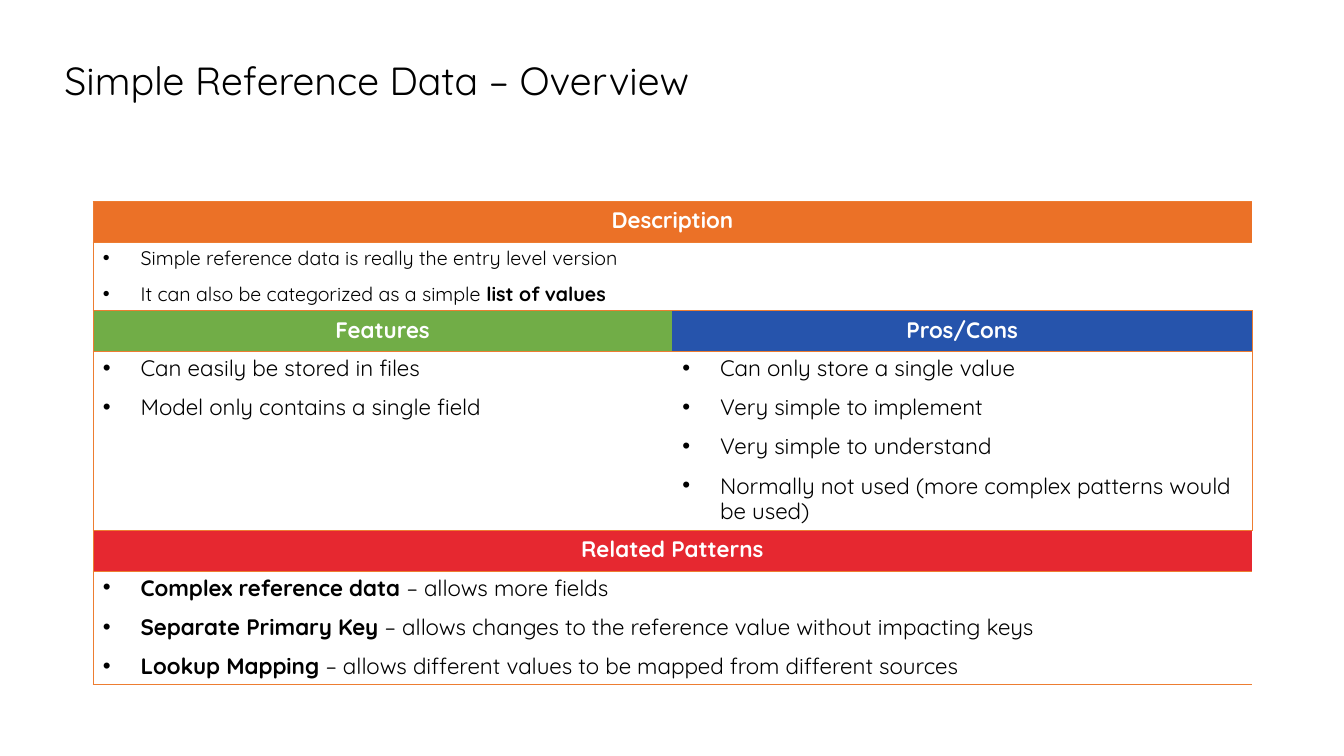
from dataclasses import dataclass

from lxml.etree import SubElement as Sub
from pptx import Presentation
from pptx.dml.color import RGBColor as Rgb
from pptx.enum.text import MSO_ANCHOR as Anchor, MSO_AUTO_SIZE as Fit, PP_ALIGN as Align
from pptx.oxml.ns import qn
from pptx.util import Cm, Pt

# Content: each row is (height in cm, cells); a single cell spans the table.
# A cell is (fill, size, paragraphs); a paragraph is a list of (text, bold).
TITLE = "Simple Reference Data – Overview"


@dataclass(frozen=True)
class Theme:
    font: str = "Quicksand"
    ink: str = "000000"
    white: str = "FFFFFF"
    line: str = "ED7D31"
    orange: str = "EB7127"
    green: str = "71AD47"
    blue: str = "2654AC"
    red: str = "E62830"
    title: int = 28
    text: int = 16
    small: int = 14
    rule: float = 0.5


look = Theme()


def head(text, fill):
    return fill, look.text, [[(text, True)]]


def body(*paras, size=look.text):
    return None, size, paras


ROWS = [
    (1.03, [head("Description", look.orange)]),
    (1.72, [body(
        [("Simple reference data is really the entry level version", False)],
        [("It can also be categorized as a simple ", False), ("list of values", True)],
        size=look.small)]),
    (1.03, [head("Features", look.green), head("Pros/Cons", look.blue)]),
    (4.5, [
        body([("Can easily be stored in files", False)],
             [("Model only contains a single field", False)]),
        body([("Can only store a single value", False)],
             [("Very simple to implement", False)],
             [("Very simple to understand", False)],
             [("Normally not used (more complex patterns would be used)", False)])]),
    (1.03, [head("Related Patterns", look.red)]),
    (2.85, [body(
        [("Complex reference data ", True), ("– allows more fields", False)],
        [("Separate Primary Key ", True),
         ("– allows changes to the reference value without impacting keys", False)],
        [("Lookup Mapping ", True),
         ("– allows different values to be mapped from different sources", False)])]),
]
COLS = 2
LEFT, TOP, WIDTH = 2.34, 5.08, 29.21


def add_run(para, text, size, color, bold=False):
    run = para.add_run()
    run.text = text
    font = run.font
    font.name, font.size, font.bold = look.font, Pt(size), bold
    font.color.rgb = Rgb.from_string(color)


def add_dot(para):
    props = para._p.get_or_add_pPr()
    props.set("marL", str(Cm(0.95)))
    props.set("indent", str(-Cm(0.95)))
    Sub(props, qn("a:buFont"), typeface="Arial")
    Sub(props, qn("a:buChar"), char="•")


def add_rules(cell, col):
    """Draw the outer frame and row rules; leave the inner upright clear."""
    props = cell._tc.get_or_add_tcPr()
    shown = {"L": col == 0, "R": col == COLS - 1, "T": True, "B": True}
    for side, on in shown.items():
        line = Sub(props, qn(f"a:ln{side}"), w=str(Pt(look.rule)))
        if on:
            Sub(Sub(line, qn("a:solidFill")), qn("a:srgbClr"), val=look.line)
        else:
            Sub(line, qn("a:noFill"))


def fill_cell(cell, fill, size, paras):
    frame = cell.text_frame
    for i, runs in enumerate(paras):
        para = frame.add_paragraph() if i else frame.paragraphs[0]
        if fill:
            para.alignment = Align.CENTER
        else:
            add_dot(para)
            para.line_spacing = 0.9
            para.space_before = Pt(10 if i else 0)
        for text, bold in runs:
            add_run(para, text, size, look.white if fill else look.ink, bold)


def add_title(slide):
    shape = slide.shapes.title
    shape.left, shape.top, shape.width, shape.height = Cm(1.37), Cm(1.37), Cm(26.9), Cm(1.42)
    frame = shape.text_frame
    frame.auto_size, frame.vertical_anchor = Fit.NONE, Anchor.MIDDLE
    para = frame.paragraphs[0]
    para.alignment, para.line_spacing = Align.LEFT, 0.9
    add_run(para, TITLE, look.title, look.ink)


def add_grid(slide):
    tall = sum(high for high, _ in ROWS)
    grid = slide.shapes.add_table(
        len(ROWS), COLS, Cm(LEFT), Cm(TOP), Cm(WIDTH), Cm(tall)).table
    grid.first_row = grid.horz_banding = False
    for r, (high, cells) in enumerate(ROWS):
        grid.rows[r].height = Cm(high)
        # Frame and fill, also under a span
        for c in range(COLS):
            cell = grid.cell(r, c)
            add_rules(cell, c)
            fill = cells[min(c, len(cells) - 1)][0]
            if fill:
                cell.fill.solid()
                cell.fill.fore_color.rgb = Rgb.from_string(fill)
            else:
                cell.fill.background()
        if len(cells) == 1:
            grid.cell(r, 0).merge(grid.cell(r, COLS - 1))
        # Text
        for c, item in enumerate(cells):
            fill_cell(grid.cell(r, c), *item)


def main():
    deck = Presentation()
    deck.slide_width, deck.slide_height = Cm(33.87), Cm(19.05)
    slide = deck.slides.add_slide(deck.slide_layouts[5])
    add_title(slide)
    add_grid(slide)
    deck.save("out.pptx")


if __name__ == "__main__":
    main()
